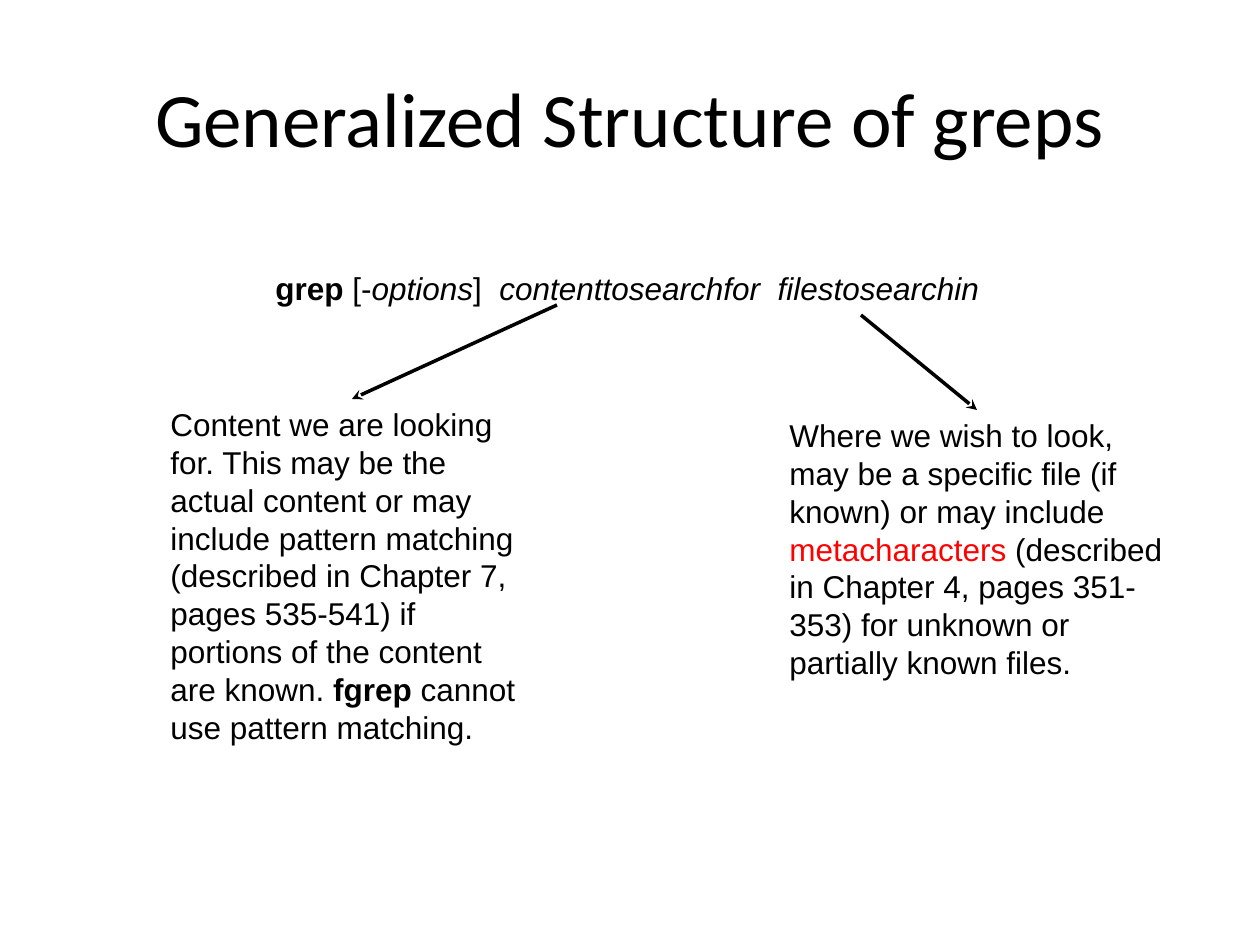
from lxml import etree
from pptx import Presentation
from pptx import util as u
from pptx.dml.color import RGBColor
from pptx.enum import shapes, text
from pptx.oxml.ns import qn

PX_PER_INCH = 126
BLACK = RGBColor(0, 0, 0)
RED = RGBColor(255, 0, 0)
WHITE = RGBColor(255, 255, 255)


def px(*lengths):
    return [u.Emu(round(length * 914400 / PX_PER_INCH)) for length in lengths]


def add_run(paragraph, words, font="Arial", size=18, color=BLACK, bold=False, italic=False):
    run = paragraph.add_run()
    run.text = words
    run.font.name = font
    run.font.size = u.Pt(size)
    run.font.color.rgb = color
    run.font.bold = bold
    run.font.italic = italic


def fill_title(slide, box, words):
    heading = slide.shapes.title
    heading.left, heading.top, heading.width, heading.height = px(*box)
    frame = heading.text_frame
    frame.vertical_anchor = text.MSO_ANCHOR.MIDDLE
    paragraph = frame.paragraphs[0]
    paragraph.alignment = text.PP_ALIGN.CENTER
    add_run(paragraph, words, font="Calibri", size=44)


def add_passage(slide, box, runs, wrap=True):
    frame = slide.shapes.add_textbox(*px(*box)).text_frame
    frame.word_wrap = wrap
    frame.auto_size = text.MSO_AUTO_SIZE.SHAPE_TO_FIT_TEXT
    for words, style in runs:
        add_run(frame.paragraphs[0], words, **style)


def add_arrow(slide, start, end):
    arrow = slide.shapes.add_connector(shapes.MSO_CONNECTOR.STRAIGHT, *px(*start, *end))
    arrow.line.color.rgb = BLACK
    arrow.line.width = u.Pt(2)
    etree.SubElement(arrow.line._get_or_add_ln(), qn("a:tailEnd"), type="stealth")
    etree.SubElement(arrow._element.spPr, qn("a:effectLst"))


def add_explanation(slide, box, source, tip_offset, runs):
    left, top, _, _ = box
    add_passage(slide, box, runs)
    add_arrow(slide, source, (left + tip_offset, top))


def main():
    deck = Presentation()
    deck.slide_width, deck.slide_height = px(1260, 945)
    slide = deck.slides.add_slide(deck.slide_layouts[5])
    slide.background.fill.solid()
    slide.background.fill.fore_color.rgb = WHITE

    fill_title(slide, (63, 38, 1134, 158), "Generalized Structure of greps")
    add_passage(slide, (263, 263, 732, 50), [
        ("grep", {"bold": True}),
        (" [-", {}),
        ("options", {"italic": True}),
        ("]  ", {}),
        ("contenttosearchfor  filestosearchin", {"italic": True}),
    ], wrap=False)
    add_explanation(slide, (158, 399, 388, 353), (557, 305), 194, [
        ("Content we are looking for. This may be the actual content or may include "
         "pattern matching (described in Chapter 7, pages 535-541) if portions of "
         "the content are known. ", {}),
        ("fgrep", {"bold": True}),
        (" cannot use pattern matching.", {}),
    ])
    add_explanation(slide, (777, 410, 399, 277), (861, 315), 200, [
        ("Where we wish to look, may be a specific file (if known) or may include ", {}),
        ("metacharacters ", {"color": RED}),
        ("(described in Chapter 4, pages 351-353) for unknown or partially known files.", {}),
    ])
    deck.save("out.pptx")


if __name__ == "__main__":
    main()
